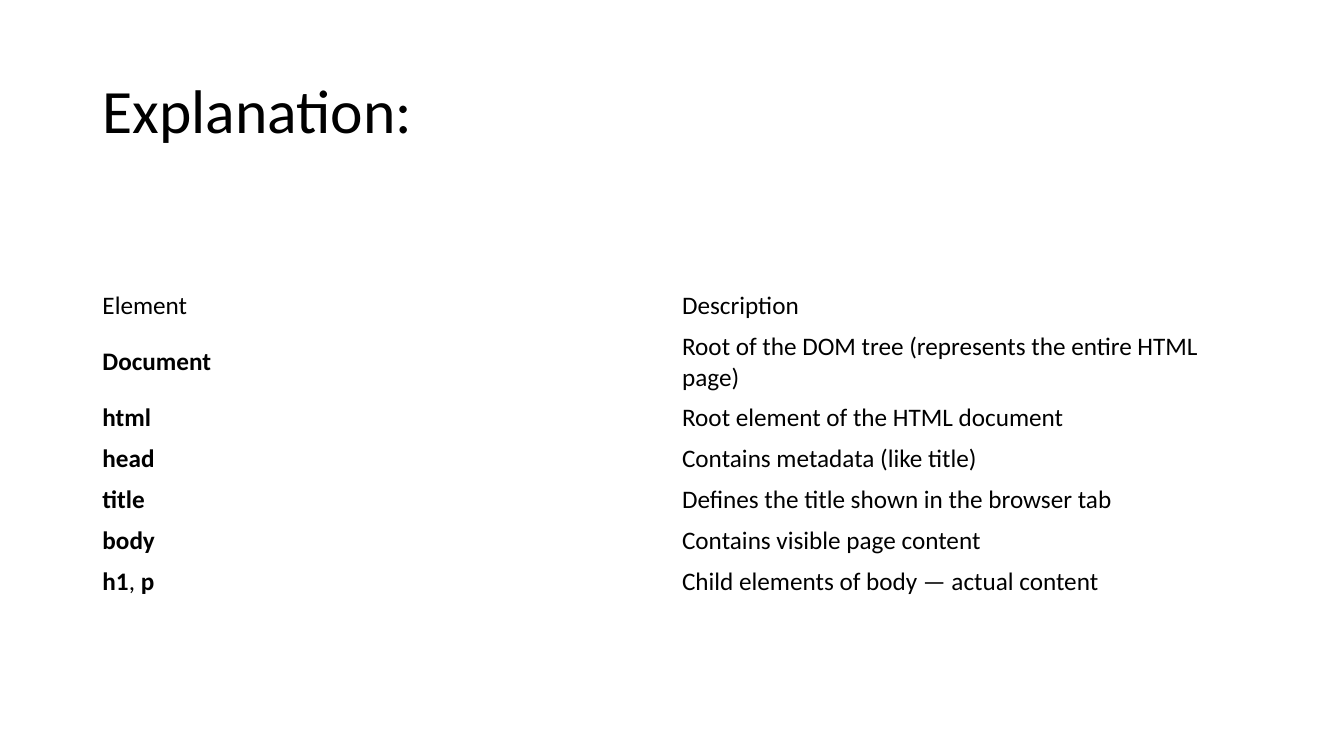
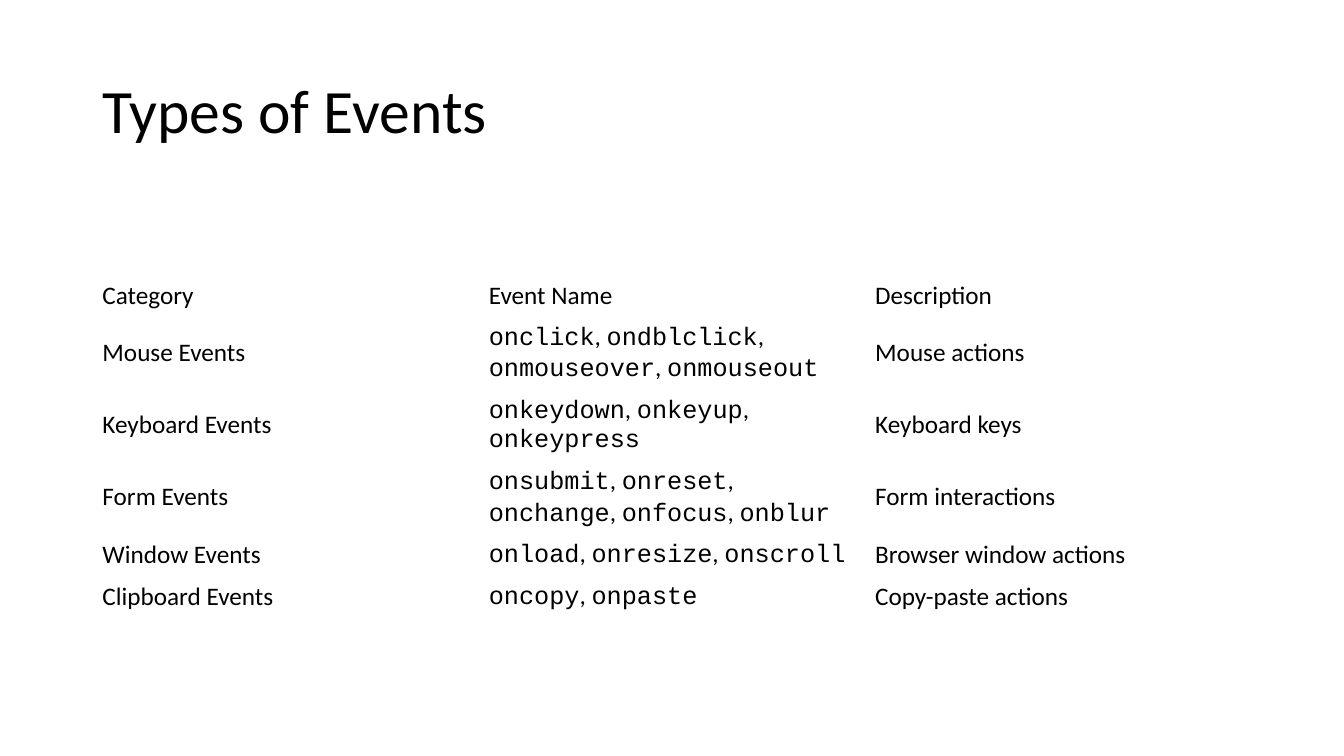
from pptx import Presentation
from pptx.dml.color import RGBColor
from pptx.enum.text import MSO_ANCHOR, MSO_AUTO_SIZE, PP_ALIGN
from pptx.util import Pt

# Shared look
BLACK = "000000"
LEFT, WIDTH = 66, 828
LINE_ROW, TWO_LINE_ROW = 29.2, 50.8
PLAIN = {"name": "Calibri", "size": Pt(18), "bold": False}
BOLD = PLAIN | {"bold": True}
CODE = PLAIN | {"name": "Courier New"}
TITLE = PLAIN | {"size": Pt(44)}


def color(value):
    return RGBColor.from_string(value)


def add_text(paragraph, text, font_format):
    run = paragraph.add_run()
    run.text = text
    for name, value in font_format.items():
        setattr(run.font, name, value)
    run.font.color.rgb = color(BLACK)


# Content: the names in the key column get the key format
slides = [
    {
        "title": "Explanation:",
        "top": 203.8,
        "key_column": 0,
        "key_format": BOLD,
        "two_line_rows": {1},
        "rows": [
            ("Element", "Description"),
            ("Document", "Root of the DOM tree (represents the entire HTML page)"),
            ("html", "Root element of the HTML document"),
            ("head", "Contains metadata (like title)"),
            ("title", "Defines the title shown in the browser tab"),
            ("body", "Contains visible page content"),
            ("h1, p", "Child elements of body — actual content"),
        ],
    },
    {
        "title": "Types of Events",
        "top": 196.6,
        "key_column": 1,
        "key_format": CODE,
        "two_line_rows": {1, 2, 3},
        "rows": [
            ("Category", "Event Name", "Description"),
            ("Mouse Events", "onclick, ondblclick, onmouseover, onmouseout", "Mouse actions"),
            ("Keyboard Events", "onkeydown, onkeyup, onkeypress", "Keyboard keys"),
            ("Form Events", "onsubmit, onreset, onchange, onfocus, onblur", "Form interactions"),
            ("Window Events", "onload, onresize, onscroll", "Browser window actions"),
            ("Clipboard Events", "oncopy, onpaste", "Copy-paste actions"),
        ],
    },
]

presentation = Presentation()
presentation.slide_width, presentation.slide_height = Pt(960), Pt(540)
title_only = presentation.slide_layouts[5]

for content in slides:
    slide = presentation.slides.add_slide(title_only)

    # Title
    title = slide.shapes.title
    title.left, title.top, title.width, title.height = Pt(LEFT), Pt(28.75), Pt(WIDTH), Pt(104.4)
    title.text_frame.auto_size = MSO_AUTO_SIZE.NONE
    title.text_frame.vertical_anchor = MSO_ANCHOR.MIDDLE
    paragraph = title.text_frame.paragraphs[0]
    paragraph.alignment = PP_ALIGN.LEFT
    paragraph.line_spacing = 0.9
    add_text(paragraph, content["title"], TITLE)

    # Table with equal columns
    rows = content["rows"]
    heights = [TWO_LINE_ROW if index in content["two_line_rows"] else LINE_ROW
               for index in range(len(rows))]
    table = slide.shapes.add_table(len(rows), len(rows[0]), Pt(LEFT), Pt(content["top"]),
                                   Pt(WIDTH), Pt(sum(heights))).table
    table.first_row = False
    table.horz_banding = False

    for row_index, row in enumerate(rows):
        table.rows[row_index].height = Pt(heights[row_index])
        for column_index, text in enumerate(row):
            cell = table.cell(row_index, column_index)
            cell.fill.background()
            cell.vertical_anchor = MSO_ANCHOR.MIDDLE
            paragraph = cell.text_frame.paragraphs[0]
            if row_index == 0 or column_index != content["key_column"]:
                add_text(paragraph, text, PLAIN)
                continue
            for name_index, name in enumerate(text.split(", ")):
                if name_index:
                    add_text(paragraph, ", ", PLAIN)
                add_text(paragraph, name, content["key_format"])

presentation.save("out.pptx")
